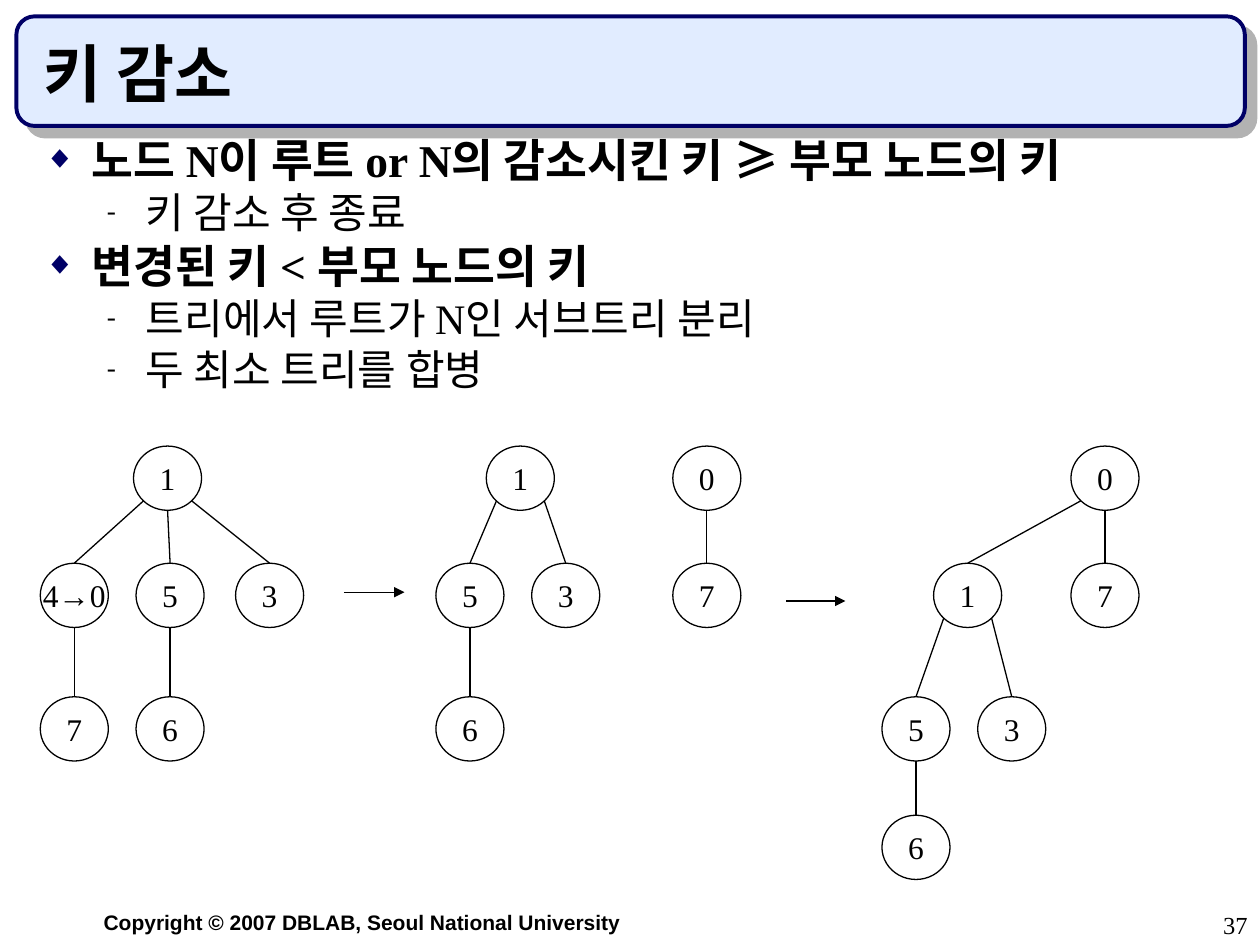
import pptx
import pptx.util
import pptx.dml.color
import pptx.enum.shapes
import pptx.enum.text
import pptx.oxml
import pptx.oxml.ns

Inches = pptx.util.Inches
Pt = pptx.util.Pt
Kind = pptx.enum.shapes.MSO_SHAPE
Align = pptx.enum.text.PP_ALIGN
Anchor = pptx.enum.text.MSO_ANCHOR

HUES = {"ink": "000000", "navy": "000066", "pale": "E1ECFF", "gray": "B2B2B2"}
SERIF = "Times New Roman"
SANS = "Arial"
WIDE, HIGH = 0.54, 0.51
ROWS = [3.54, 4.47, 5.53, 6.47]
BULLETS = [
    {"mark": "◆", "hue": "navy", "pct": 70, "left": 0.38, "hang": 0.38,
     "size": 26, "bold": True, "gap": 6.5},
    {"mark": "-", "hue": "ink", "pct": 65, "left": 0.81, "hang": 0.31,
     "size": 24, "bold": False, "gap": 6},
]


class Deck:
    def __init__(self, wide, high):
        self.file = pptx.Presentation()
        self.file.slide_width = Inches(wide)
        self.file.slide_height = Inches(high)
        self.slide = self.file.slides.add_slide(self.file.slide_layouts[6])

    def hue(self, name):
        return pptx.dml.color.RGBColor.from_string(HUES[name])

    def xml(self, text):
        head, rest = text.split(" ", 1)
        space = pptx.oxml.ns.nsdecls("a")
        return pptx.oxml.parse_xml(f"{head} {space} {rest}")

    def run(self, para, text, size, bold=False, face=SERIF):
        run = para.add_run()
        run.text = text
        run.font.size = Pt(size)
        run.font.bold = bold
        run.font.name = face
        run.font.color.rgb = self.hue("ink")

    def stroke(self, item, name, width):
        item.line.color.rgb = self.hue(name)
        item.line.width = Pt(width)

    def banner(self, left, top, width, height):
        box = self.slide.shapes.add_shape(
            Kind.ROUNDED_RECTANGLE, Inches(left), Inches(top), Inches(width), Inches(height))
        box.fill.solid()
        box.fill.fore_color.rgb = self.hue("pale")
        self.stroke(box, "navy", 2.25)
        box._element.spPr.append(self.xml(
            f'<a:effectLst ><a:outerShdw dist="{Pt(8.5)}" dir="2700000" algn="ctr" '
            f'rotWithShape="0"><a:srgbClr val="{HUES["gray"]}"/></a:outerShdw></a:effectLst>'))

    def frame(self, left, top, width, height, anchor=Anchor.TOP):
        box = self.slide.shapes.add_textbox(
            Inches(left), Inches(top), Inches(width), Inches(height))
        frame = box.text_frame
        frame.word_wrap = True
        frame.vertical_anchor = anchor
        return frame

    def label(self, spot, text, size, bold=False, face=SERIF,
              align=Align.LEFT, anchor=Anchor.TOP):
        para = self.frame(*spot, anchor).paragraphs[0]
        para.alignment = align
        self.run(para, text, size, bold, face)

    def outline(self, spot, items):
        frame = self.frame(*spot)
        for at, (level, text) in enumerate(items):
            para = frame.add_paragraph() if at else frame.paragraphs[0]
            look = BULLETS[level]
            props = para._p.get_or_add_pPr()
            props.set("marL", str(Inches(look["left"])))
            props.set("indent", str(-Inches(look["hang"])))
            for part in (
                f'<a:buClr ><a:srgbClr val="{HUES[look["hue"]]}"/></a:buClr>',
                f'<a:buSzPct val="{look["pct"] * 1000}"/>',
                f'<a:buFont typeface="{SERIF}"/>',
                f'<a:buChar char="{look["mark"]}"/>',
            ):
                props.append(self.xml(part))
            para.level = level
            para.line_spacing = 0.8
            if at:
                para.space_before = Pt(look["gap"])
            self.run(para, text, look["size"], look["bold"])

    def node(self, text, left, top):
        ring = self.slide.shapes.add_shape(
            Kind.OVAL, Inches(left), Inches(top), Inches(WIDE), Inches(HIGH))
        ring.shadow.inherit = False
        ring.fill.background()
        self.stroke(ring, "ink", 0.75)
        frame = ring.text_frame
        frame.word_wrap = False
        frame.vertical_anchor = Anchor.MIDDLE
        para = frame.paragraphs[0]
        para.alignment = Align.CENTER
        self.run(para, text, 18)

    def line(self, start, end, arrow=False):
        link = self.slide.shapes.add_connector(
            pptx.enum.shapes.MSO_CONNECTOR.STRAIGHT,
            *(Inches(n) for n in (*start, *end)))
        self.stroke(link, "ink", 0.75)
        if arrow:
            link.line._get_or_add_ln().append(self.xml('<a:tailEnd type="triangle"/>'))
        link._element.spPr.append(self.xml("<a:effectLst />"))

    def edge(self, upper, lower):
        mid = upper[0] + WIDE / 2
        end = (lower[0] + WIDE / 2, lower[1])
        shift = end[0] - mid
        if abs(shift) < 0.1:
            start = (mid, upper[1] + HIGH)
        else:
            side = 1 if shift > 0 else -1
            start = (mid + side * WIDE * 0.35, upper[1] + HIGH * 0.85)
        self.line(start, end)

    def tree(self, nodes):
        spots = [(left, ROWS[row]) for _, left, row, _ in nodes]
        for (text, _, _, above), spot in zip(nodes, spots):
            self.node(text, *spot)
            if above is not None:
                self.edge(spots[above], spot)


TREES = [
    [("1", 1.06, 0, None), ("4→0", 0.32, 1, 0), ("5", 1.08, 1, 0),
     ("3", 1.87, 1, 0), ("7", 0.32, 2, 1), ("6", 1.08, 2, 2)],
    [("1", 3.86, 0, None), ("5", 3.46, 1, 0), ("3", 4.22, 1, 0), ("6", 3.46, 2, 1)],
    [("0", 5.34, 0, None), ("7", 5.34, 1, 0)],
    [("0", 8.5, 0, None), ("1", 7.41, 1, 0), ("7", 8.5, 1, 0),
     ("5", 7, 2, 1), ("3", 7.76, 2, 1), ("6", 7, 3, 3)],
]


def main():
    deck = Deck(10, 7.5)
    deck.banner(0.13, 0.13, 9.75, 0.87)
    deck.label((0.25, 7.17, 5.25, 0.3), "Copyright © 2007 DBLAB, Seoul National University",
               12, True, SANS, Align.CENTER)
    deck.label((0.25, 0.25, 9.42, 0.67), "키 감소", 36, True, anchor=Anchor.BOTTOM)
    deck.outline((0.25, 1.08, 9.42, 5.83), [
        (0, "노드 N이 루트 or N의 감소시킨 키 ≥ 부모 노드의 키"),
        (1, "키 감소 후 종료"),
        (0, "변경된 키 < 부모 노드의 키"),
        (1, "트리에서 루트가 N인 서브트리 분리"),
        (1, "두 최소 트리를 합병"),
    ])
    for nodes in TREES:
        deck.tree(nodes)
    for left, right, top in ((2.73, 3.21, 4.7), (6.24, 6.71, 4.77)):
        deck.line((left, top), (right, top), arrow=True)
    deck.label((7.92, 7.17, 2.08, 0.33), "37", 14, align=Align.RIGHT)
    deck.file.save("out.pptx")


if __name__ == "__main__":
    main()
